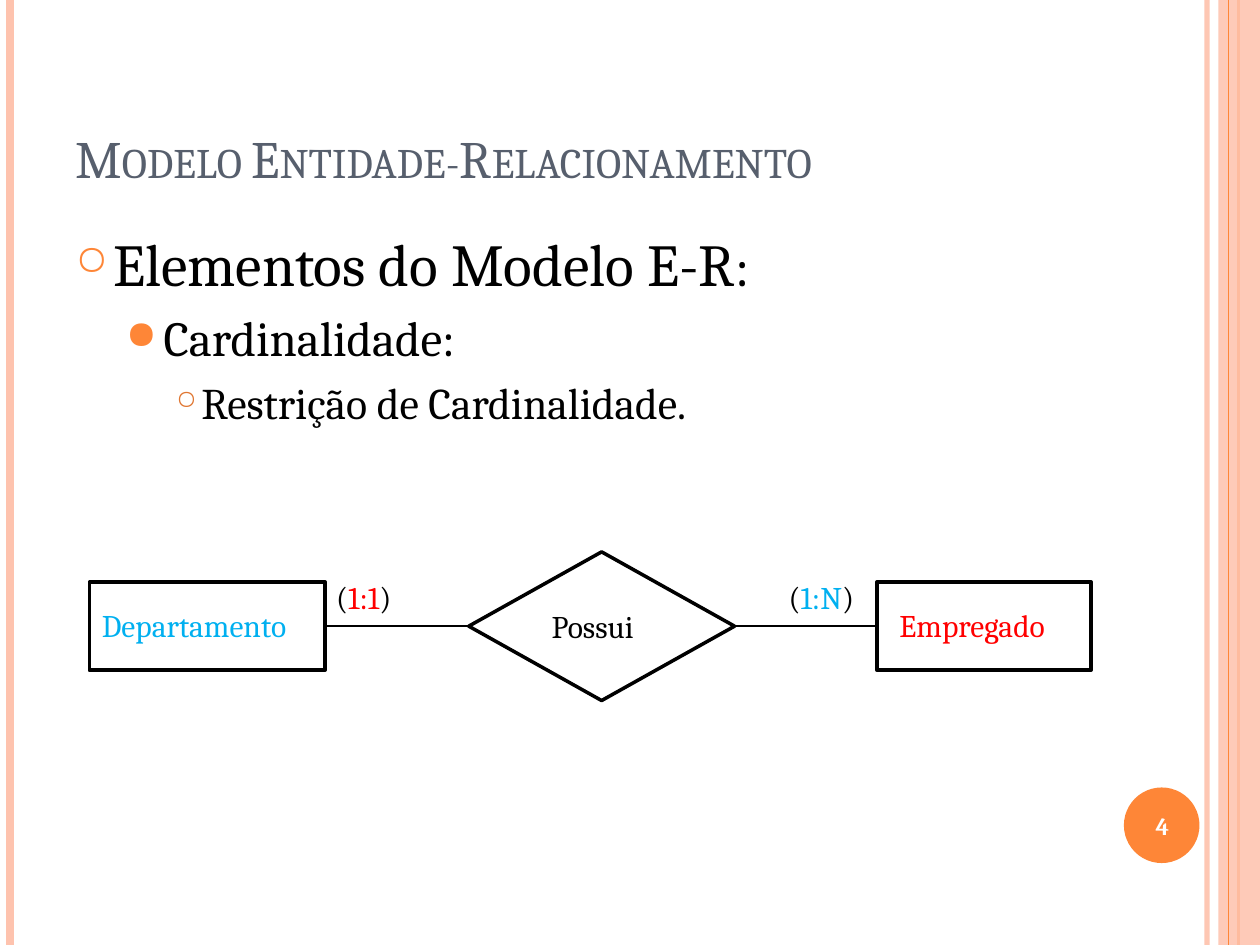
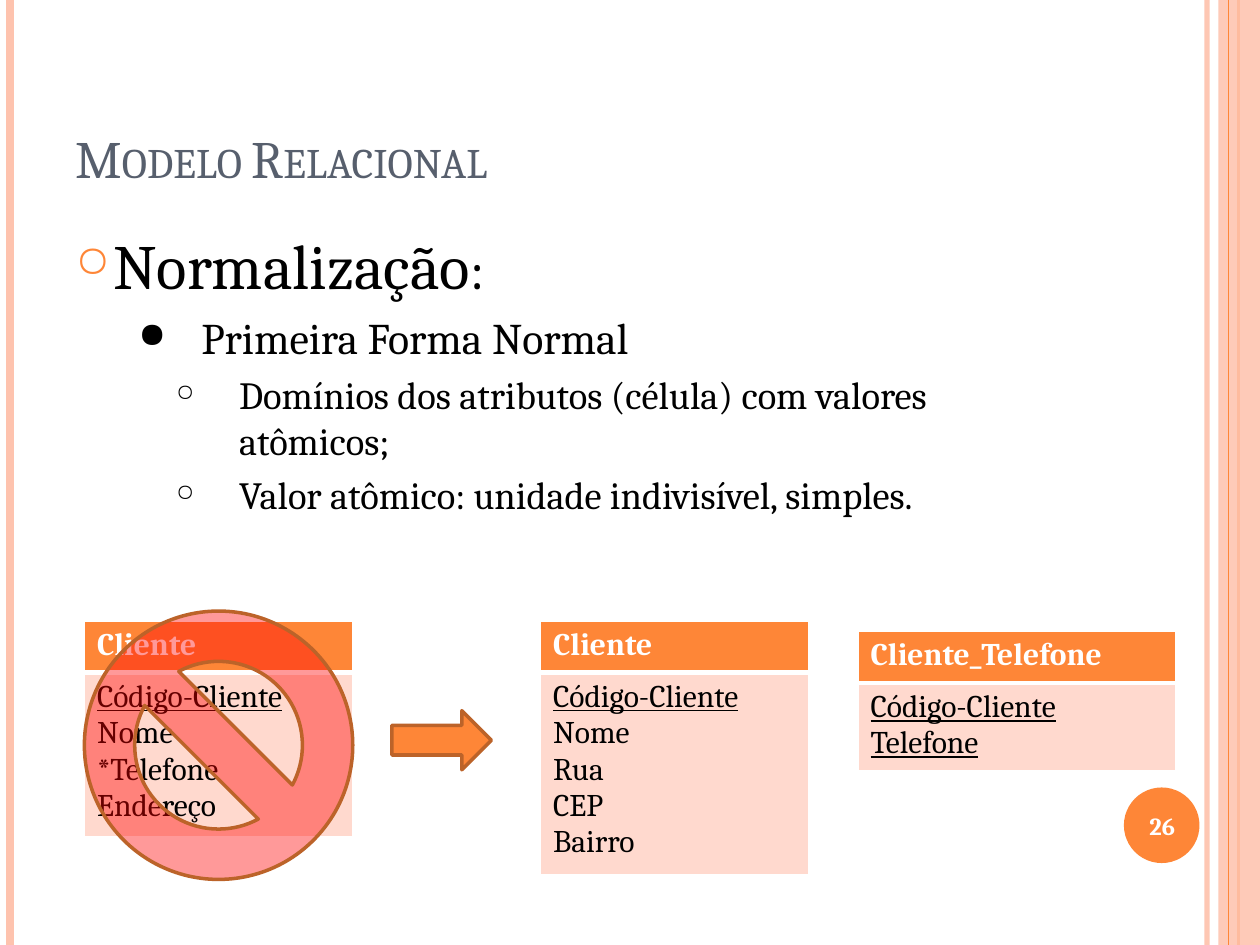
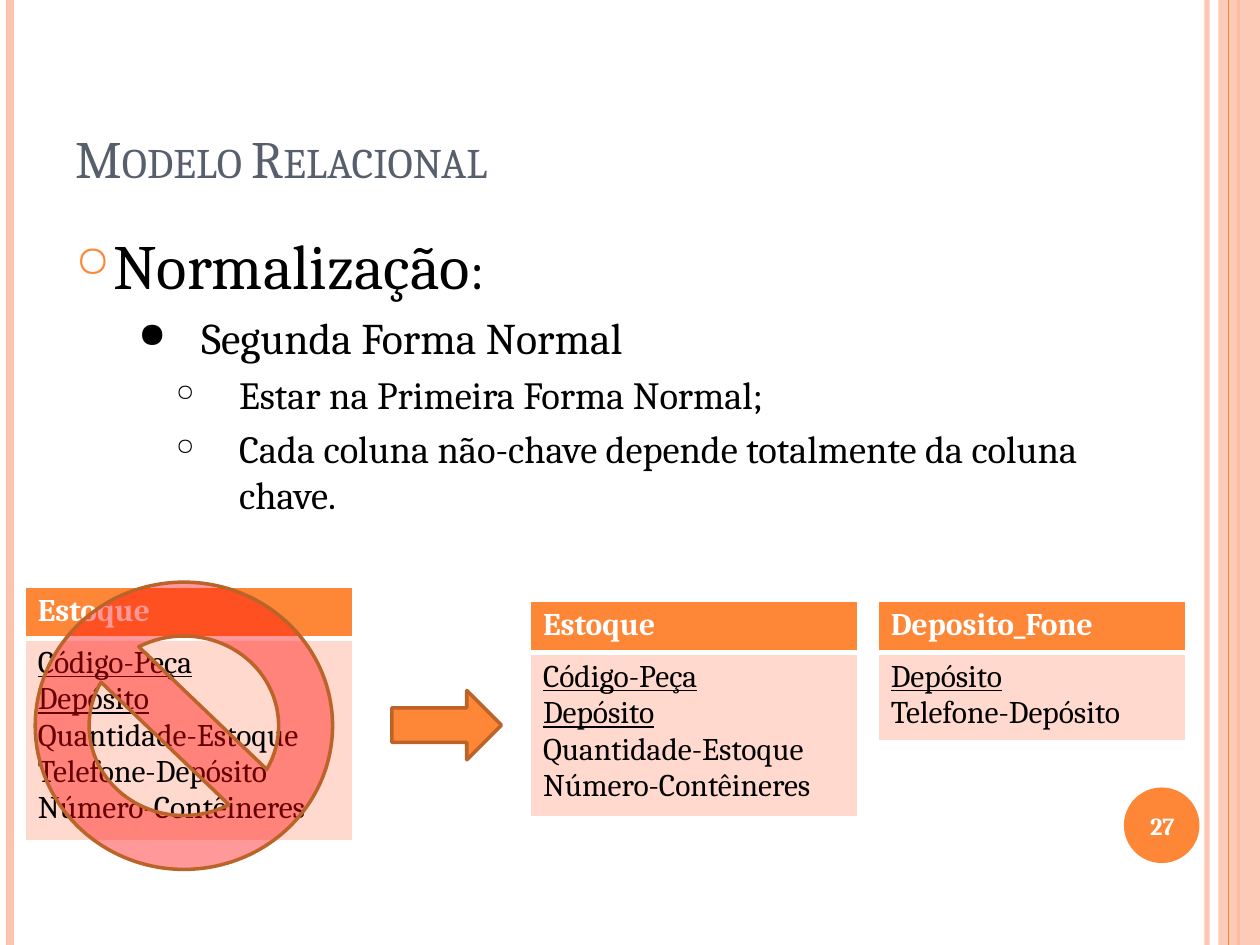
"""Build three database-modelling slides with a diagram and normalisation tables."""
from dataclasses import dataclass

from lxml.etree import SubElement
from pptx import Presentation
from pptx.dml.color import RGBColor
from pptx.enum.shapes import MSO_CONNECTOR, MSO_SHAPE
from pptx.enum.text import MSO_ANCHOR, PP_ALIGN
from pptx.oxml.ns import qn
from pptx.util import Inches, Pt


@dataclass(frozen=True)
class Theme:
    font: str = "Cambria"
    black: str = "000000"
    white: str = "FFFFFF"
    title: str = "575F6D"
    accent: str = "FE8637"
    accent_dark: str = "BC6329"
    accent_bullet: str = "E07631"
    band: str = "FEC3AE"
    cell: str = "FFD9CE"
    red: str = "FF0000"
    blue: str = "00B0F0"
    title_size: int = 30
    number_size: int = 14
    label_size: int = 18
    colon_size: int = 31


THEME = Theme()


@dataclass(frozen=True)
class Bullet:
    level: int
    runs: tuple
    left: float
    hanging: float
    color: str = THEME.black

    def symbol(self):
        return "○●○"[self.level]

    def percent(self):
        return (70, 80, 60)[self.level]

    def space_before(self):
        return 6 if self.level == 0 else self.runs[0][1] * 0.2


def rgb(color):
    return RGBColor.from_string(color)


def set_opacity(element, percent):
    color = next(element.iter(qn("a:srgbClr")))
    SubElement(color, qn("a:alpha"), val=str(percent * 1000))


def add_run(paragraph, text, size, color=THEME.black, bold=False, underline=False):
    run = paragraph.add_run()
    run.text = text
    font = run.font
    font.name, font.size = THEME.font, Pt(size)
    font.bold, font.underline = bold, underline
    font.color.rgb = rgb(color)
    return run


def add_text_frame(slide, box, anchor=MSO_ANCHOR.TOP):
    frame = slide.shapes.add_textbox(*map(Inches, box)).text_frame
    frame.word_wrap = True
    frame.vertical_anchor = anchor
    return frame


def add_shape(slide, kind, box, fill=None, line=None, opacity=100):
    shape = slide.shapes.add_shape(kind, *map(Inches, box))
    shape.shadow.inherit = False
    if fill:
        shape.fill.solid()
        shape.fill.fore_color.rgb = rgb(fill)
        if opacity < 100:
            set_opacity(shape.fill._xPr, opacity)
    else:
        shape.fill.background()
    if line:
        shape.line.color.rgb = rgb(line)
        shape.line.width = Pt(2)
    else:
        shape.line.fill.background()
    return shape


def add_line(slide, start, end, color, width, opacity=100):
    connector = slide.shapes.add_connector(
        MSO_CONNECTOR.STRAIGHT, *map(Inches, (*start, *end)))
    connector.line.color.rgb = rgb(color)
    connector.line.width = Pt(width)
    if opacity < 100:
        set_opacity(connector.line._get_or_add_ln(), opacity)
    SubElement(connector._element.spPr, qn("a:effectLst"))
    return connector


def join(slide, first, second):
    """Link the right side of the first shape to the left side of the second."""
    connector = add_line(slide, (0, 0), (1, 1), THEME.black, 1)
    connector.begin_connect(first, 3)
    connector.end_connect(second, 1)


def add_bullet(paragraph, bullet):
    paragraph.level = bullet.level
    paragraph.space_before = Pt(bullet.space_before())
    properties = paragraph._p.get_or_add_pPr()
    properties.set("marL", str(Inches(bullet.left)))
    properties.set("indent", str(-Inches(bullet.hanging)))
    color = SubElement(properties, qn("a:buClr"))
    SubElement(color, qn("a:srgbClr"), val=bullet.color)
    SubElement(properties, qn("a:buSzPct"), val=str(bullet.percent() * 1000))
    SubElement(properties, qn("a:buChar"), char=bullet.symbol())
    for text, size in bullet.runs:
        add_run(paragraph, text, size)


def add_body(slide, bullets):
    frame = add_text_frame(slide, (0.5, 1.75, 8.17, 4.76))
    for index, bullet in enumerate(bullets):
        paragraph = frame.add_paragraph() if index else frame.paragraphs[0]
        add_bullet(paragraph, bullet)


def add_bands(slide):
    def vertical(x, color, width, opacity=100):
        add_line(slide, (x, 0), (x, 7.5), color, width, opacity)

    vertical(9.58, THEME.band, 3, 93)
    vertical(0.08, THEME.band, 4.5)
    vertical(9.83, THEME.accent, 1.5)
    add_shape(slide, MSO_SHAPE.RECTANGLE, (9.67, 0, 0.33, 7.5), THEME.band, opacity=87)
    vertical(9.75, THEME.accent, 0.75)


def add_page(presentation, title, number, bullets):
    slide = presentation.slides.add_slide(presentation.slide_layouts[6])
    add_bands(slide)
    add_shape(slide, MSO_SHAPE.OVAL, (8.92, 6.25, 0.6, 0.6), THEME.accent)
    add_body(slide, bullets)
    heading = add_text_frame(slide, (0.5, 0.3, 8.17, 1.25), MSO_ANCHOR.BOTTOM)
    run = add_run(heading.paragraphs[0], title, THEME.title_size, THEME.title)
    run.font._rPr.set("cap", "small")
    footer = add_text_frame(slide, (8.89, 6.27, 0.67, 0.57), MSO_ANCHOR.MIDDLE)
    footer.paragraphs[0].alignment = PP_ALIGN.CENTER
    add_run(footer.paragraphs[0], str(number), THEME.number_size, THEME.white, bold=True)
    return slide


def add_label(slide, left, top, width, *runs):
    paragraph = add_text_frame(slide, (left, top, width, 0.4)).paragraphs[0]
    for text, color in runs:
        add_run(paragraph, text, THEME.label_size, color)


def add_cardinality(slide, left, width, text, color):
    add_label(slide, left, 4.54, width,
              ("(", THEME.black), (text, color), (")", THEME.black))


def style_cell(cell, fill, top, bottom):
    """Give a cell white borders of the given top and bottom widths, then its fill."""
    properties = cell._tc.get_or_add_tcPr()
    for side, width in (("L", 1), ("R", 1), ("T", top), ("B", bottom)):
        line = SubElement(properties, qn(f"a:ln{side}"), w=str(Pt(width)))
        solid = SubElement(line, qn("a:solidFill"))
        SubElement(solid, qn("a:srgbClr"), val=THEME.white)
    cell.fill.solid()
    cell.fill.fore_color.rgb = rgb(fill)


def add_relation(slide, left, top, width, name, keys, fields=()):
    """Draw a relation as a table, with its key attributes underlined."""
    attributes = [(key, True) for key in keys] + [(field, False) for field in fields]
    heights = (0.41, 0.1 + 0.28 * len(attributes))
    table = slide.shapes.add_table(
        2, 1, *map(Inches, (left, top, width, sum(heights)))).table
    table.horz_banding = False
    for row, height in zip(table.rows, heights):
        row.height = Inches(height)
    header, body = table.cell(0, 0), table.cell(1, 0)
    style_cell(header, THEME.accent, 1, 3)
    style_cell(body, THEME.cell, 3, 1)
    add_run(header.text_frame.paragraphs[0], name, THEME.label_size, THEME.white, bold=True)
    frame = body.text_frame
    for index, (attribute, is_key) in enumerate(attributes):
        paragraph = frame.add_paragraph() if index else frame.paragraphs[0]
        add_run(paragraph, attribute, THEME.label_size, underline=is_key)


def add_rejection(slide, sign_box, arrow_box):
    add_shape(slide, MSO_SHAPE.NO_SYMBOL, sign_box, THEME.red, THEME.accent_dark, 40)
    add_shape(slide, MSO_SHAPE.RIGHT_ARROW, arrow_box, THEME.accent, THEME.accent_dark)


def normalization_bullets(form, rules):
    return [
        Bullet(0, (("Normalização", 36), (":", THEME.colon_size)), 0.3, 0.3, THEME.accent),
        Bullet(1, ((form, 25),), 1, 0.5),
        *(Bullet(2, ((rule, 22),), 1.3, 0.5) for rule in rules),
    ]


def build_cardinality(presentation):
    slide = add_page(presentation, "Modelo Entidade-Relacionamento", 4, [
        Bullet(0, (("Elementos do Modelo E-R", 34), (":", THEME.colon_size)),
               0.3, 0.3, THEME.accent),
        Bullet(1, (("Cardinalidade:", 28),), 0.7, 0.3, THEME.accent),
        Bullet(2, (("Restrição de Cardinalidade.", 25),), 1, 0.2, THEME.accent_bullet),
    ])
    department, relationship, employee = (
        add_shape(slide, kind, box, line=THEME.black) for kind, box in (
            (MSO_SHAPE.RECTANGLE, (0.71, 4.62, 1.87, 0.7)),
            (MSO_SHAPE.DIAMOND, (3.72, 4.38, 2.11, 1.18)),
            (MSO_SHAPE.RECTANGLE, (6.96, 4.62, 1.7, 0.7))))
    join(slide, department, relationship)
    join(slide, relationship, employee)
    add_label(slide, 0.71, 4.76, 1.95, ("Departamento", THEME.blue))
    add_label(slide, 4.28, 4.77, 0.99, ("Possui", THEME.black))
    add_label(slide, 7.04, 4.76, 1.59, ("Empregado", THEME.red))
    add_cardinality(slide, 2.57, 0.74, "1:1", THEME.red)
    add_cardinality(slide, 6.16, 0.81, "1:N", THEME.blue)


def build_first_form(presentation):
    slide = add_page(presentation, "Modelo Relacional", 26, normalization_bullets(
        "Primeira Forma Normal",
        ("Domínios dos atributos (célula) com valores atômicos;",
         "Valor atômico: unidade indivisível, simples.")))
    key = "Código-Cliente"
    add_relation(slide, 0.67, 4.93, 2.13, "Cliente", [key],
                 ["Nome", "*Telefone", "Endereço"])
    add_relation(slide, 4.29, 4.93, 2.13, "Cliente", [key],
                 ["Nome", "Rua", "CEP", "Bairro"])
    add_relation(slide, 6.81, 5.01, 2.52, "Cliente_Telefone", [key, "Telefone"])
    add_rejection(slide, (0.67, 4.85, 2.13, 2.13), (3.11, 5.64, 0.79, 0.47))


def build_second_form(presentation):
    slide = add_page(presentation, "Modelo Relacional", 27, normalization_bullets(
        "Segunda Forma Normal",
        ("Estar na Primeira Forma Normal;",
         "Cada coluna não-chave depende totalmente da coluna chave.")))
    keys = ["Código-Peça", "Depósito"]
    add_relation(slide, 0.2, 4.66, 2.6, "Estoque", keys,
                 ["Quantidade-Estoque", "Telefone-Depósito", "Número-Contêineres"])
    add_relation(slide, 4.21, 4.77, 2.6, "Estoque", keys,
                 ["Quantidade-Estoque", "Número-Contêineres"])
    add_relation(slide, 6.97, 4.77, 2.44, "Deposito_Fone", ["Depósito"],
                 ["Telefone-Depósito"])
    add_rejection(slide, (0.28, 4.62, 2.36, 2.28), (3.11, 5.48, 0.87, 0.55))


def main():
    presentation = Presentation()
    presentation.slide_width, presentation.slide_height = Inches(10), Inches(7.5)
    build_cardinality(presentation)
    build_first_form(presentation)
    build_second_form(presentation)
    presentation.save("out.pptx")


if __name__ == "__main__":
    main()
